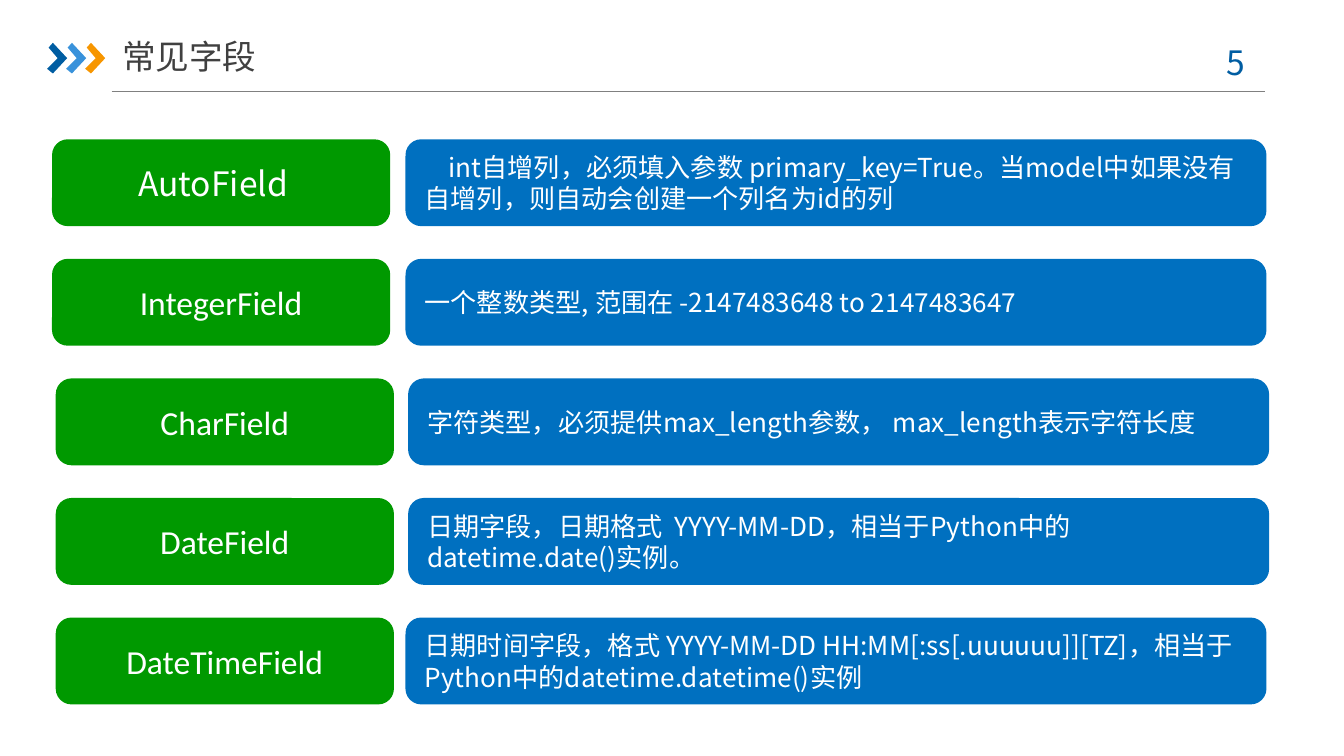
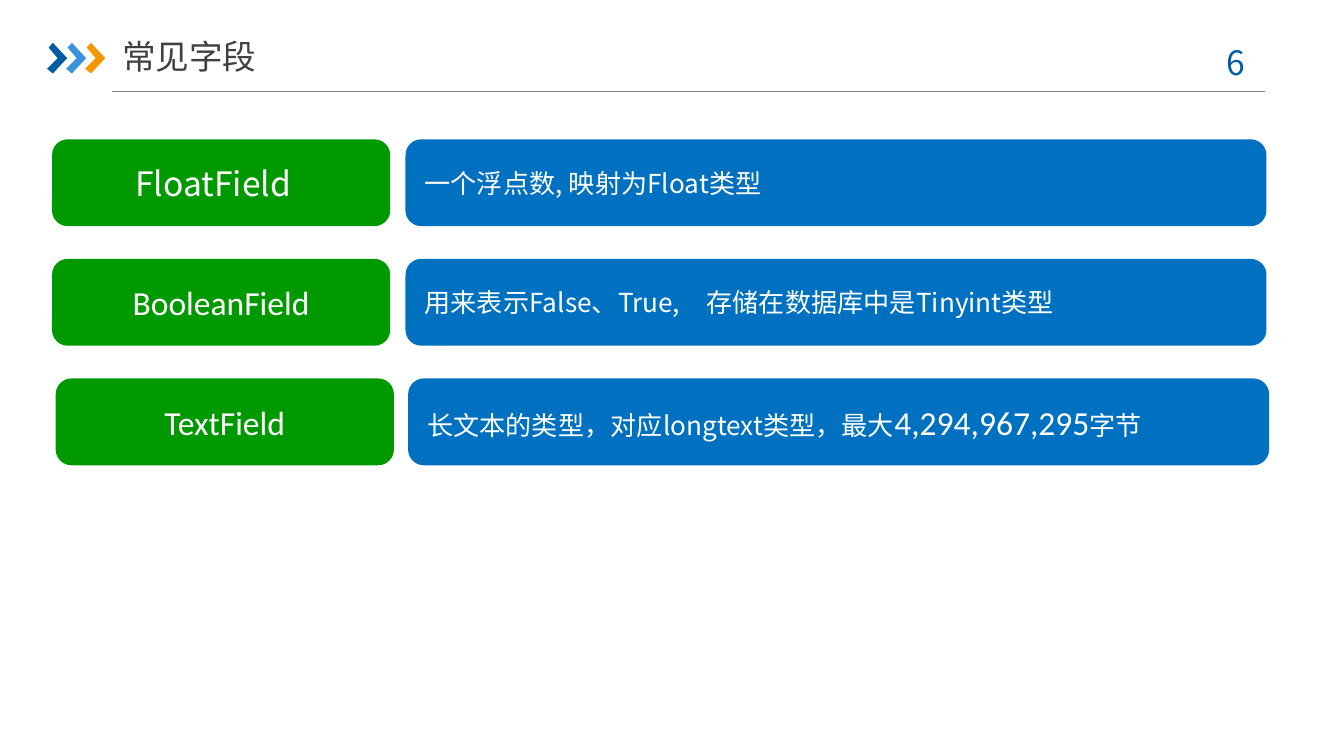
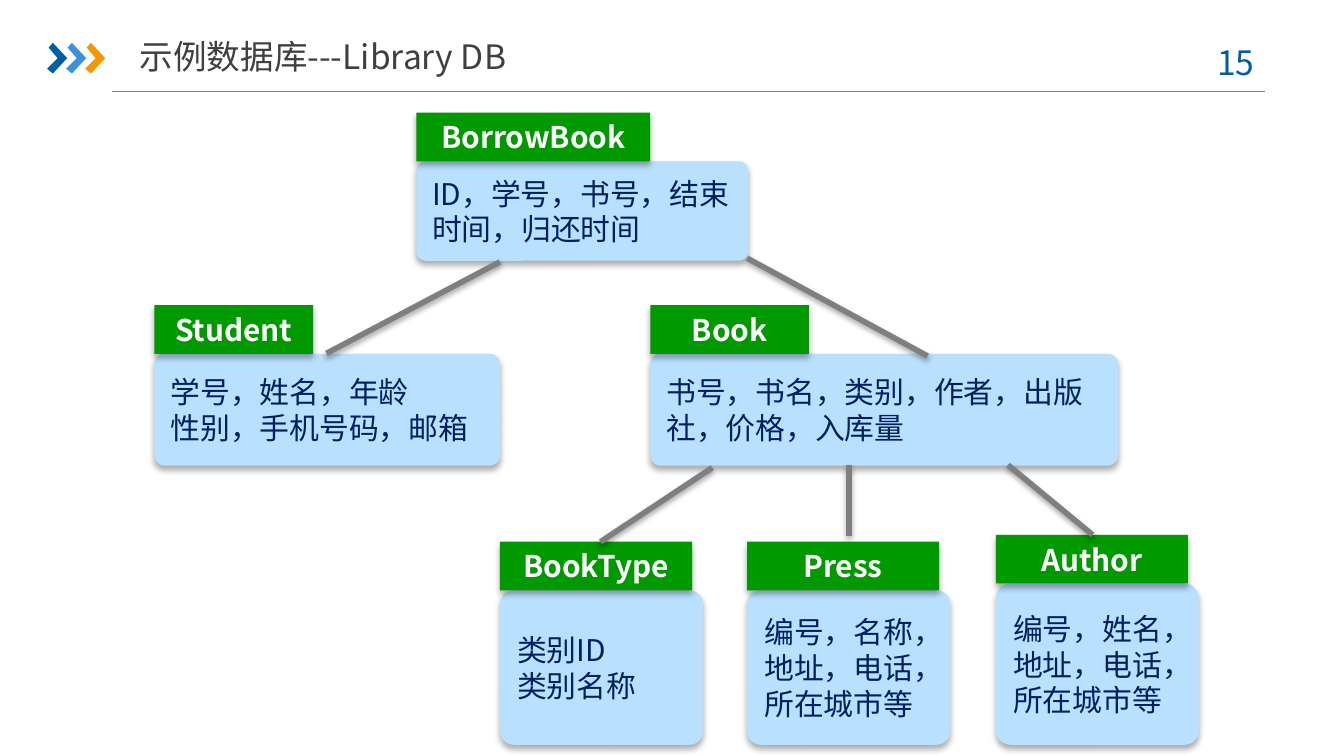
import pptx
import pptx.util
import pptx.dml.color
import pptx.enum.shapes
import pptx.enum.text
import pptx.oxml
import pptx.oxml.ns
import lxml.etree

Cm = pptx.util.Cm
Pt = pptx.util.Pt
RGBColor = pptx.dml.color.RGBColor
SHAPE = pptx.enum.shapes.MSO_SHAPE
ALIGN = pptx.enum.text.PP_ALIGN
ANCHOR = pptx.enum.text.MSO_ANCHOR
qn = pptx.oxml.ns.qn

# Shared style
NAVY = RGBColor(0x00, 0x5D, 0xA2)
SKY = RGBColor(0x39, 0x92, 0xDB)
ORANGE = RGBColor(0xF7, 0x96, 0x00)
GREEN = RGBColor(0x00, 0x99, 0x00)
BLUE = RGBColor(0x00, 0x70, 0xC0)
PALE_BLUE = RGBColor(0xB9, 0xE1, 0xFF)
INK = RGBColor(0x00, 0x20, 0x60)
TITLE_GRAY = RGBColor(0x40, 0x40, 0x40)
RULE_GRAY = RGBColor(0x80, 0x80, 0x80)
LINK_GRAY = RGBColor(0x7F, 0x7F, 0x7F)
WHITE = RGBColor(0xFF, 0xFF, 0xFF)
OFF_WHITE = RGBColor(0xF2, 0xF2, 0xF2)
SANS = "Noto Sans CJK SC"
LATIN = "Calibri"

# Content: each field is a name and the runs (text, font, size) of its note
FIELD_SLIDES = [
    (5, [
        ("AutoField", [("int自增列，必须填入参数 primary_key=True。当model中如果没有自增列，"
                        "则自动会创建一个列名为id的列", SANS, 14)]),
        ("IntegerField", [("一个整数类型, 范围在 -2147483648 to 2147483647", SANS, 14)]),
        ("CharField", [("字符类型，必须提供max_length参数， max_length表示字符长度", SANS, 14)]),
        ("DateField", [("日期字段，日期格式\u00a0 YYYY-MM-DD，相当于Python中的"
                        "datetime.date()实例。", SANS, 14)]),
        ("DateTimeField", [("日期时间字段，格式 YYYY-MM-DD HH:MM[:ss[.uuuuuu]][TZ]，"
                            "相当于Python中的datetime.datetime()实例", SANS, 14)]),
    ]),
    (6, [
        ("FloatField", [("一个浮点数, 映射为Float类型", SANS, 14)]),
        ("BooleanField", [("用来表示False、True,\u3000存储在数据库中是Tinyint类型", SANS, 14)]),
        ("TextField", [("长文本的类型，对应longtext类型，最大", SANS, 14),
                       ("4,294,967,295", LATIN, 18), ("字节", SANS, 14)]),
    ]),
]

# Entities: name, attributes, left, top, tab width, box width, box height (cm)
ENTITIES = [
    ("Student", "学号，姓名，年龄\n性别，手机号码，邮箱", 2.92, 5.77, 3, 6.53, 2.11),
    ("Book", "书号，书名，类别，作者，出版社，价格，入库量", 12.29, 5.77, 3, 8.84, 2.11),
    ("BookType", "类别ID\n类别名称", 9.45, 10.24, 3.63, 3.84, 2.92),
    ("Press", "编号，名称，地址，电话，所在城市等", 14.12, 10.24, 3.63, 3.84, 2.92),
    ("Author", "编号，姓名，地址，电话，所在城市等", 18.82, 10.11, 3.63, 3.84, 3.05),
    ("BorrowBook", "ID，学号，书号，结束时间，归还时间", 7.87, 2.13, 4.42, 6.27, 1.88),
]
LINKS = [
    (6.17, 6.68, 9.45, 4.95),
    (14.12, 4.88, 17.53, 6.73),
    (19.05, 8.79, 20.65, 10.11),
    (11.35, 10.24, 13.46, 8.84),
    (16.05, 8.79, 16.05, 10.13),
]

# Layout (cm)
CHEVRON = [(0.03, 0.09), (0.11, 0), (0.38, 0.29), (0.11, 0.58), (0, 0.49), (0.2, 0.29)]
CHEVRON_LEFT, CHEVRON_TOP, CHEVRON_STEP = 0.89, 0.81, 0.36
ROW_TOP, ROW_STEP, ROW_HEIGHT = 2.67, 2.26, 1.57
LABEL_LEFTS, LABEL_WIDTH = (1.02, 1.02, 1.09, 1.09, 1.09), 6.32
NOTE_LEFTS, NOTE_WIDTH = (7.7, 7.7, 7.75, 7.75, 7.7), 16.2
TAB_HEIGHT = 0.92


def style_run(run, font_name, size, color, bold=False):
    run.font.name = font_name
    run.font.size = Pt(size)
    run.font.bold = bold
    run.font.color.rgb = color
    east_asian = lxml.etree.SubElement(run.font._element, qn("a:ea"))
    east_asian.set("typeface", SANS)


def write(shape, text, size, color, align=ALIGN.LEFT, font_name=SANS, bold=False):
    shape.text_frame.word_wrap = True
    shape.text_frame.text = text
    for paragraph in shape.text_frame.paragraphs:
        paragraph.alignment = align
        for run in paragraph.runs:
            style_run(run, font_name, size, color, bold)


def set_effects(shape, opacity=0, blur=0, distance=0):
    """Replace the theme shadow: none, or a soft one straight below."""
    effects = lxml.etree.SubElement(shape._element.spPr, qn("a:effectLst"))
    if opacity:
        shadow = lxml.etree.SubElement(
            effects, qn("a:outerShdw"), blurRad=str(Pt(blur)), dist=str(Pt(distance)),
            dir="5400000", algn="t", rotWithShape="0")
        color = lxml.etree.SubElement(shadow, qn("a:srgbClr"), val="000000")
        lxml.etree.SubElement(color, qn("a:alpha"), val=str(opacity * 1000))


def add_block(slide, kind, left, top, width, height, fill, outlined=False):
    shape = slide.shapes.add_shape(kind, Cm(left), Cm(top), Cm(width), Cm(height))
    shape.fill.solid()
    shape.fill.fore_color.rgb = fill
    if outlined:
        shape.line.color.rgb = fill
        shape.line.width = Pt(2)
        set_effects(shape)
    else:
        shape.line.fill.background()
        set_effects(shape, 32, 3.5, 2.2)
    shape.text_frame.vertical_anchor = ANCHOR.MIDDLE
    return shape


def add_line(slide, ends, color, width):
    line = slide.shapes.add_connector(
        pptx.enum.shapes.MSO_CONNECTOR.STRAIGHT, *[Cm(value) for value in ends])
    line.line.color.rgb = color
    line.line.width = Pt(width)
    return line


def add_page(presentation, number, title, left, width, align=ALIGN.LEFT):
    """Add a slide with the header rule, chevrons, page number and title."""
    slide = presentation.slides.add_slide(presentation.slide_layouts[6])
    set_effects(add_line(slide, (2.11, 1.73, 23.9, 1.73), RULE_GRAY, 0.75))
    for index, color in enumerate((NAVY, SKY, ORANGE)):
        points = [(Cm(CHEVRON_LEFT + index * CHEVRON_STEP + x), Cm(CHEVRON_TOP + y))
                  for x, y in CHEVRON]
        builder = slide.shapes.build_freeform(*points[0])
        builder.add_line_segments(points[1:], close=True)
        chevron = builder.convert_to_shape()
        chevron.fill.solid()
        chevron.fill.fore_color.rgb = color
        chevron.line.fill.background()
        set_effects(chevron)
    page_box = slide.shapes.add_textbox(Cm(22.5), Cm(0.66), Cm(1.85), Cm(1.02))
    write(page_box, f"{number} ", 18, NAVY, ALIGN.CENTER)
    title_box = slide.shapes.add_textbox(Cm(left), Cm(0.53), Cm(width), Cm(1.07))
    title_box.text_frame.margin_left = title_box.text_frame.margin_right = 0
    title_box.text_frame.vertical_anchor = ANCHOR.MIDDLE
    write(title_box, title, 18, TITLE_GRAY, align)
    return slide


def add_field_row(slide, index, name, note_runs):
    top = ROW_TOP + index * ROW_STEP
    label = add_block(slide, SHAPE.ROUNDED_RECTANGLE, LABEL_LEFTS[index], top,
                      LABEL_WIDTH, ROW_HEIGHT, GREEN, outlined=True)
    write(label, name, 18, WHITE, ALIGN.CENTER, LATIN if index else SANS)
    if index == 0:
        label.text_frame.margin_right = Cm(0.55)  # first label sits left of centre
    note = add_block(slide, SHAPE.ROUNDED_RECTANGLE, NOTE_LEFTS[index], top,
                     NOTE_WIDTH, ROW_HEIGHT, BLUE, outlined=True)
    note.text_frame.word_wrap = True
    paragraph = note.text_frame.paragraphs[0]
    paragraph.alignment = ALIGN.LEFT
    for text, font_name, size in note_runs:
        run = paragraph.add_run()
        run.text = text
        style_run(run, font_name, size, WHITE)
    if name == "AutoField":
        paragraph._p.get_or_add_pPr().set("indent", str(Cm(0.45)))


def add_entity(slide, name, attributes, left, top, tab_width, box_width, box_height):
    box = add_block(slide, SHAPE.ROUNDED_RECTANGLE, left, top + TAB_HEIGHT,
                    box_width, box_height, PALE_BLUE)
    box.adjustments[0] = 0.09
    write(box, attributes, 16, INK)
    tab = add_block(slide, SHAPE.RECTANGLE, left, top, tab_width, TAB_HEIGHT, GREEN)
    write(tab, name, 16, WHITE, ALIGN.CENTER, bold=True)
    text_fill = tab.text_frame.paragraphs[0].runs[0].font.fill
    text_fill.gradient()
    text_fill.gradient_angle = 270
    for stop, color in zip(text_fill.gradient_stops, (WHITE, OFF_WHITE)):
        stop.color.rgb = color


presentation = pptx.Presentation()
presentation.slide_width = Cm(25.4)
presentation.slide_height = Cm(14.29)

# Field lists
for number, fields in FIELD_SLIDES:
    slide = add_page(presentation, number, "常见字段", 2.31, 3.61)
    for index, (name, note_runs) in enumerate(fields):
        add_field_row(slide, index, name, note_runs)

# Database diagram
slide = add_page(presentation, 15, "示例数据库---Library DB", 1.9, 8.41, ALIGN.CENTER)
for entity in ENTITIES:
    add_entity(slide, *entity)
for ends in LINKS:
    set_effects(add_line(slide, ends, LINK_GRAY, 3), 35, 3.1, 1.8)

presentation.save("out.pptx")
